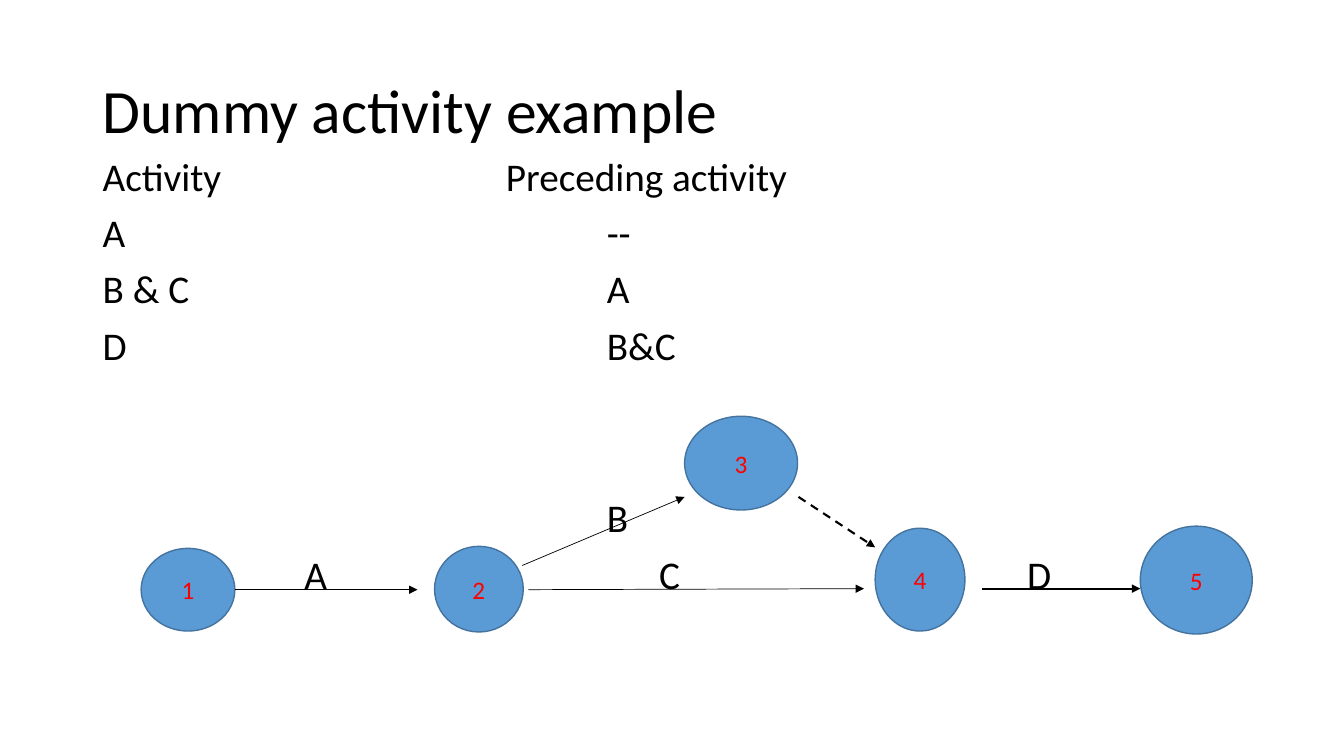
from lxml import etree
from pptx import Presentation
from pptx.dml.color import RGBColor
from pptx.enum import dml, shapes, text
from pptx.oxml.ns import qn
from pptx.util import Inches, Pt

BLACK = RGBColor(0, 0, 0)
RED = RGBColor(0xFF, 0, 0)
BLUE = RGBColor(0x5B, 0x9B, 0xD5)
EDGE = RGBColor(0x43, 0x73, 0x9E)

# Activity, preceding activity, tab stop
ROWS = [("Activity", "Preceding activity", 4), ("A", "--", 5),
        ("B & C", "A", 5), ("D", "B&C", 5)]
# Event number: left, top, width, height
NODES = {"1": (1.4, 5.44, 0.93, 0.82), "2": (4.31, 5.42, 0.88, 0.85),
         "3": (6.79, 4.13, 1.12, 0.93), "4": (8.68, 5.24, 0.89, 1.02),
         "5": (11.31, 5.22, 1.11, 1.07)}
# Start, end, line width, dashed
ARROWS = [((2.33, 5.85), (4.14, 5.85), 0.5, False),
          ((5.18, 5.61), (6.79, 4.93), 0.5, False),
          ((5.24, 5.85), (8.57, 5.84), 0.5, False),
          ((9.74, 5.84), (11.31, 5.84), 1.5, False),
          ((7.92, 4.93), (8.68, 5.43), 1.5, True)]
# Activity name: left, top
LABELS = {"A": (2.92, 5.46), "B": (5.92, 4.9),
          "C": (6.44, 5.46), "D": (10.09, 5.46)}


def write(frame, lines, size=28, color=BLACK, align=None, space=0.9,
          anchor=text.MSO_ANCHOR.TOP, tabs=()):
    frame.word_wrap = True
    frame.vertical_anchor = anchor
    for i, line in enumerate(lines):
        para = frame.paragraphs[0] if i == 0 else frame.add_paragraph()
        para.text = line
        para.line_spacing = space
        if i:
            para.space_before = Pt(10)
        if align is not None:
            para.alignment = align
        if tabs:
            stops = etree.SubElement(para._p.get_or_add_pPr(), qn("a:tabLst"))
            etree.SubElement(stops, qn("a:tab"), pos=str(Inches(tabs[i])), algn="l")
        font = para.runs[0].font
        font.name, font.size = "Calibri", Pt(size)
        font.color.rgb = color


def add_text(slide, box, lines, **style):
    shape = slide.shapes.add_textbox(*map(Inches, box))
    write(shape.text_frame, lines, **style)


def add_node(slide, name, box):
    oval = slide.shapes.add_shape(shapes.MSO_SHAPE.OVAL, *map(Inches, box))
    oval.shadow.inherit = False
    oval.fill.solid()
    oval.fill.fore_color.rgb = BLUE
    oval.line.color.rgb = EDGE
    oval.line.width = Pt(1)
    write(oval.text_frame, [name], size=18, color=RED, space=1.0,
          align=text.PP_ALIGN.CENTER, anchor=text.MSO_ANCHOR.MIDDLE)


def add_arrow(slide, start, end, width, dashed):
    link = slide.shapes.add_connector(
        shapes.MSO_CONNECTOR.STRAIGHT, *map(Inches, start + end))
    link.line.color.rgb = BLACK
    link.line.width = Pt(width)
    if dashed:
        link.line.dash_style = dml.MSO_LINE.DASH
    etree.SubElement(link.line._get_or_add_ln(), qn("a:tailEnd"), type="triangle")
    etree.SubElement(link._element.spPr, qn("a:effectLst"))


def main():
    deck = Presentation()
    deck.slide_width, deck.slide_height = Inches(13.33), Inches(7.5)
    slide = deck.slides.add_slide(deck.slide_layouts[6])

    # Title and list of activities
    add_text(slide, (0.92, 0.4, 11.5, 1.45), ["Dummy activity example"],
             size=44, anchor=text.MSO_ANCHOR.MIDDLE)
    add_text(slide, (0.92, 1.51, 11.5, 2.4),
             [f"{name}\t{prior}" for name, prior, _ in ROWS],
             tabs=[stop for _, _, stop in ROWS])

    # Network diagram
    for name, spot in LABELS.items():
        add_text(slide, (*spot, 0.5, 0.53), [name])
    for name, box in NODES.items():
        add_node(slide, name, box)
    for arrow in ARROWS:
        add_arrow(slide, *arrow)

    deck.save("out.pptx")


if __name__ == "__main__":
    main()
